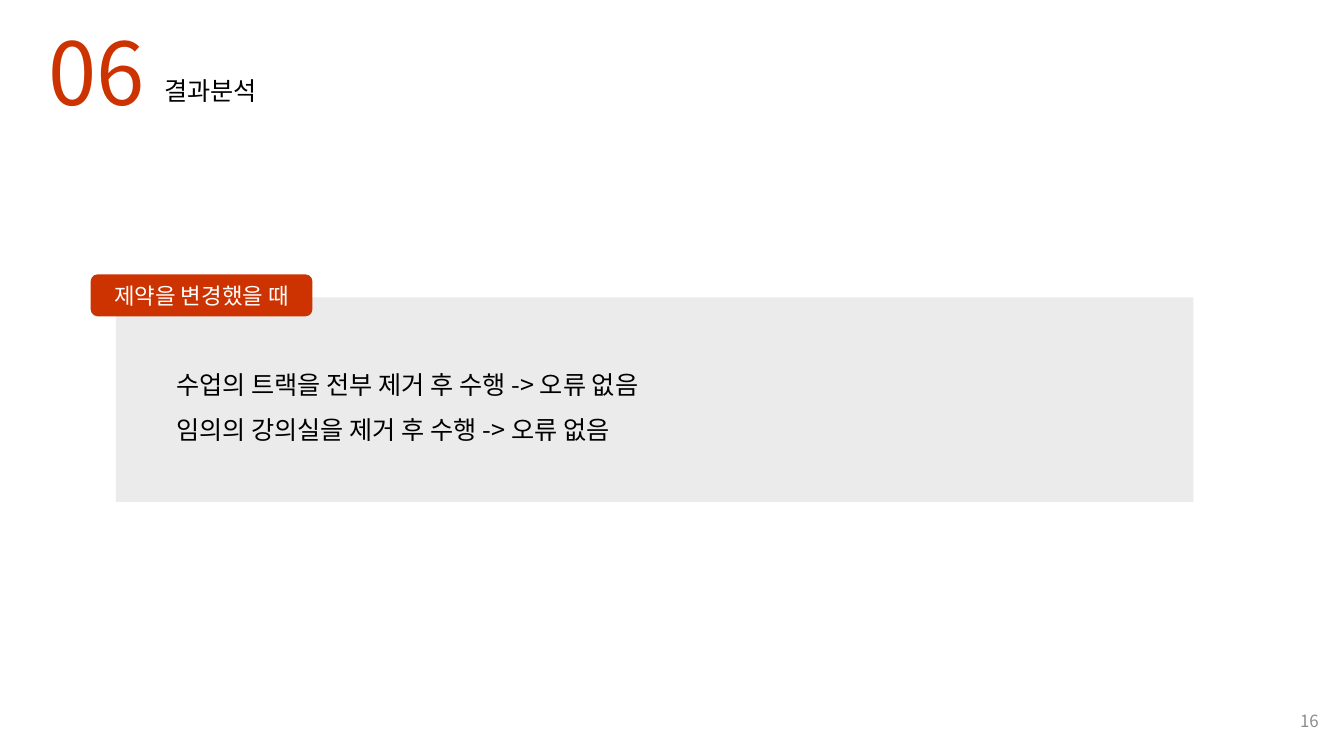
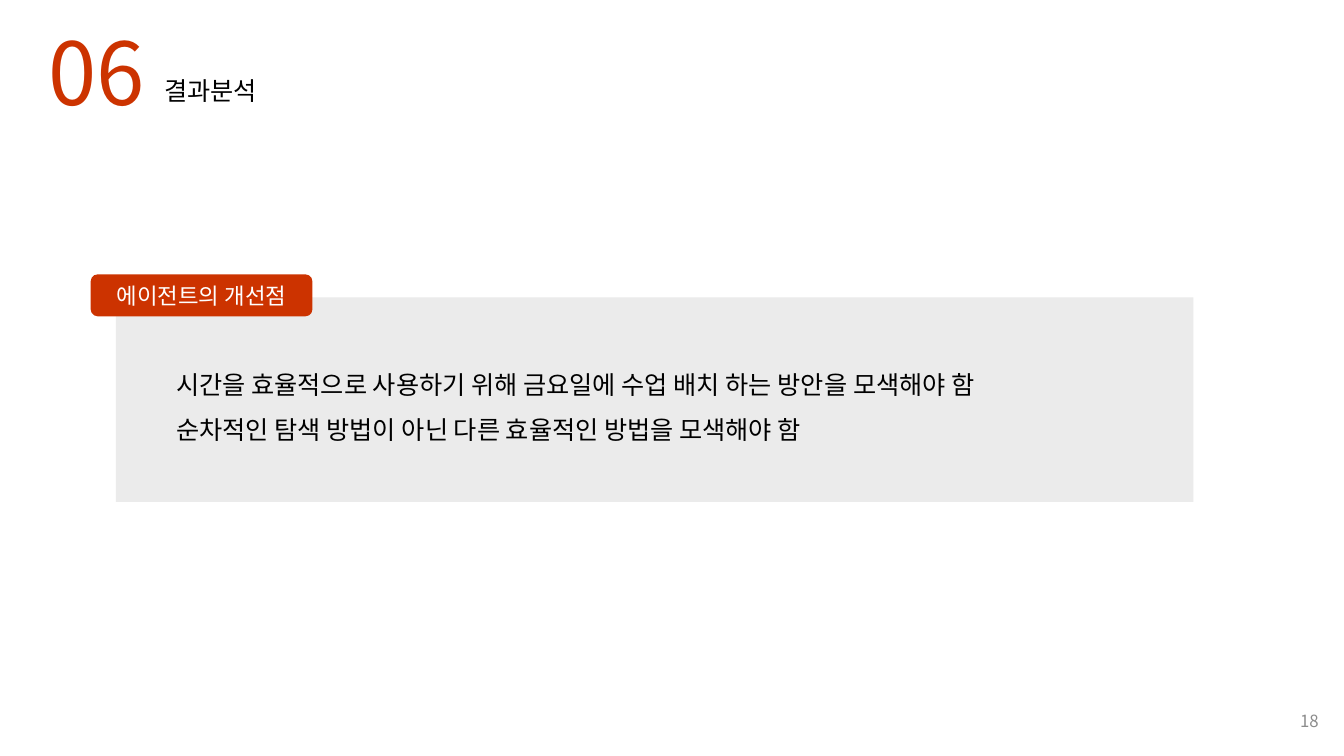
from pptx import Presentation
from pptx import util as u
from pptx.dml.color import RGBColor
from pptx.enum import shapes, text
from pptx.oxml.ns import qn
from lxml import etree

FONT = "Noto Sans CJK KR"
COLORS = {"accent": "CC3300", "panel": "A1A1A1", "ink": "000000",
          "label": "FFFFFF", "number": "8C8C8C"}
PANEL_OPACITY = 21  # percent
LEFT, CENTER, RIGHT = text.PP_ALIGN.LEFT, text.PP_ALIGN.CENTER, text.PP_ALIGN.RIGHT
TOP, MIDDLE = text.MSO_ANCHOR.TOP, text.MSO_ANCHOR.MIDDLE

PAGES = [
    ("16", "제약을 변경했을 때",
     ["수업의 트랙을 전부 제거 후 수행 -> 오류 없음",
      "임의의 강의실을 제거 후 수행 -> 오류 없음"]),
    ("18", "에이전트의 개선점",
     ["시간을 효율적으로 사용하기 위해 금요일에 수업 배치 하는 방안을 모색해야 함",
      "순차적인 탐색 방법이 아닌 다른 효율적인 방법을 모색해야 함"]),
]


def write(box, lines, size, color, align=LEFT, anchor=TOP, spacing=None, indent=0):
    frame = box.text_frame
    frame.word_wrap = True
    frame.vertical_anchor = anchor
    frame.text = "\n".join(lines)
    for para in frame.paragraphs:
        para.alignment = align
        para.line_spacing = spacing
        para.font.size = u.Pt(size)
        para.font.color.rgb = RGBColor.from_string(COLORS[color])
        para.font.name = FONT
        # East Asian typeface for the Korean text
        latin = next(para._p.iter(qn("a:latin")))
        latin.addnext(latin.makeelement(qn("a:ea"), {"typeface": FONT}))
        if indent:
            para.level = 1
            para._p.get_or_add_pPr().set("marL", str(u.Pt(indent)))


def add_block(page, kind, place, color):
    block = page.shapes.add_shape(kind, *map(u.Pt, place))
    block.shadow.inherit = False
    block.fill.solid()
    block.fill.fore_color.rgb = RGBColor.from_string(COLORS[color])
    block.line.fill.background()
    return block


deck = Presentation()
deck.slide_width, deck.slide_height = u.Pt(960), u.Pt(540)

for number, label, findings in PAGES:
    page = deck.slides.add_slide(deck.slide_layouts[6])

    # Page number, section title and section number
    for place, line, style in [
        ((733, 500.4, 216, 28.8), number,
         dict(size=12, color="number", align=RIGHT, anchor=MIDDLE)),
        ((110.2, 39.6, 455.8, 36.7), "결과분석",
         dict(size=18, color="ink", spacing=1.5)),
        ((27.4, 10.1, 95, 82.1), "06", dict(size=62, color="accent")),
    ]:
        write(page.shapes.add_textbox(*map(u.Pt, place)), [line], **style)

    # Translucent panel with the findings
    panel = add_block(page, shapes.MSO_SHAPE.RECTANGLE, (82.8, 212.4, 769.7, 146.2), "panel")
    tint = next(panel.fill._xPr.iter(qn("a:srgbClr")))
    etree.SubElement(tint, qn("a:alpha"), val=str(PANEL_OPACITY * 1000))
    write(panel, findings, 18, "ink", anchor=MIDDLE, spacing=1.5, indent=36)

    # Label over the panel's corner
    tag = add_block(page, shapes.MSO_SHAPE.ROUNDED_RECTANGLE, (64.8, 196, 158.4, 30), "accent")
    write(tag, [label], 16, "label", align=CENTER, anchor=MIDDLE)

deck.save("out.pptx")
